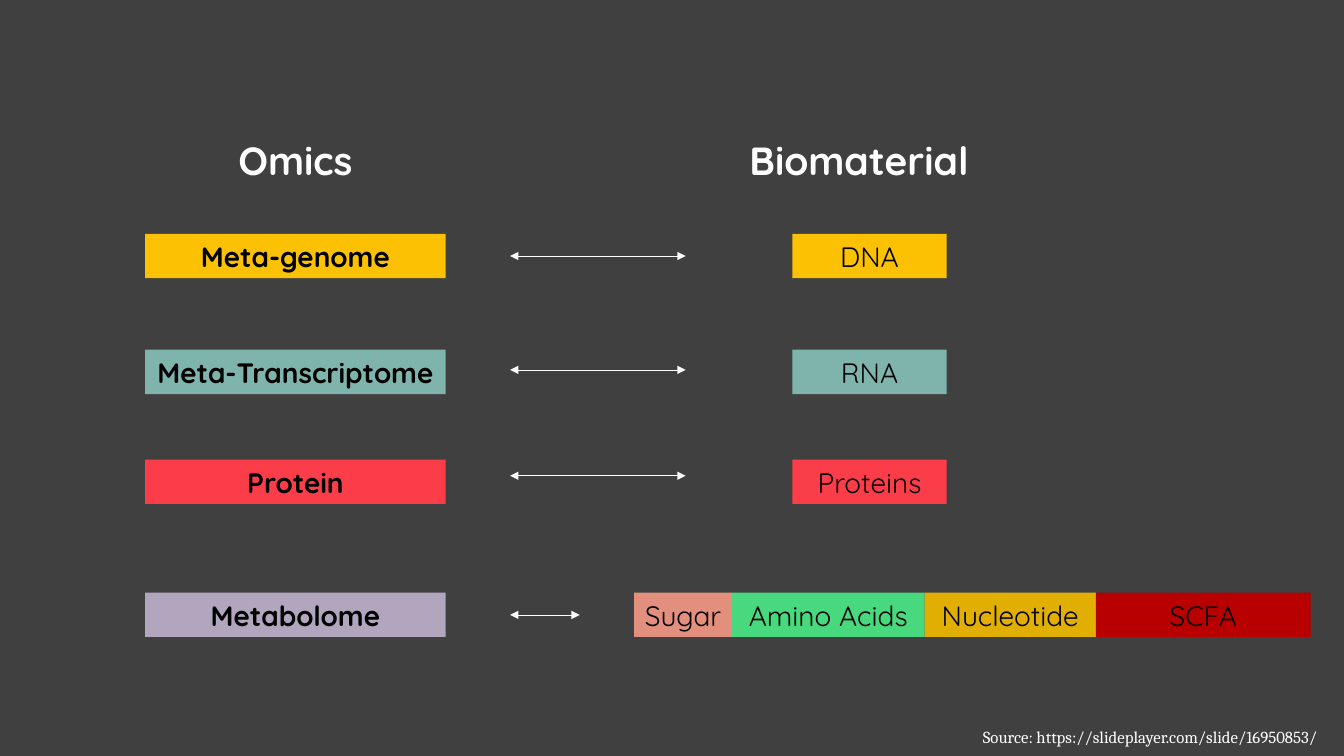
from lxml import etree
from pptx import Presentation
from pptx import util as u
from pptx.dml.color import RGBColor
from pptx.enum import shapes, text
from pptx.oxml.ns import qn

COLORS = {
    "background": "404040", "white": "FFFFFF", "black": "000000",
    "genome": "FBC102", "transcriptome": "7FB4AD", "protein": "FB3C49",
    "metabolome": "B1A6BD", "sugar": "E28F7D", "amino": "48D87D",
    "nucleotide": "E1AE02", "scfa": "B80001",
}
HEADING = {"name": "Quicksand", "size": u.Pt(28), "bold": True}
OMICS = {"name": "Quicksand", "size": u.Pt(20), "bold": True}
MATERIAL = {"name": "Quicksand", "size": u.Pt(20), "bold": False}
SOURCE = {"name": "Cambria", "size": u.Pt(12), "bold": False}

OMICS_LEFT, OMICS_WIDTH = 1.44, 2.98
MATERIAL_LEFT, MATERIAL_WIDTH = 7.86, 1.53
BAR_HEIGHT = 0.44
ARROW_START, ARROW_END, SHORT_ARROW_END = 5.06, 6.8, 5.75
METABOLOME_TOP, METABOLOME_ARROW = 5.88, 6.1

ROWS = [
    ("Meta-genome", "DNA", "genome", 2.32, 2.54),
    ("Meta-Transcriptome", "RNA", "transcriptome", 3.47, 3.67),
    ("Protein", "Proteins", "protein", 4.56, 4.72),
]
METABOLITES = [
    ("Sugar", "sugar", 0.97),
    ("Amino Acids", "amino", 1.91),
    ("Nucleotide", "nucleotide", 1.7),
    ("SCFA", "scfa", 2.13),
]


def color(name):
    return RGBColor.from_string(COLORS[name])


def write(box, words, style, ink, align=text.PP_ALIGN.CENTER, wrap=True):
    frame = box.text_frame
    frame.word_wrap = wrap
    para = frame.paragraphs[0]
    para.alignment = align
    span = para.add_run()
    span.text = words
    for key, value in style.items():
        setattr(span.font, key, value)
    span.font.color.rgb = color(ink)


def add_bar(page, words, fill, style, left, top, width):
    bar = page.shapes.add_shape(
        shapes.MSO_SHAPE.RECTANGLE,
        *map(u.Inches, (left, top, width, BAR_HEIGHT)))
    bar.shadow.inherit = False
    bar.fill.solid()
    bar.fill.fore_color.rgb = color(fill)
    bar.line.fill.background()
    write(bar, words, style, "black")


def add_label(page, words, style, area, **options):
    box = page.shapes.add_textbox(*map(u.Inches, area))
    write(box, words, style, "white", **options)


def add_arrow(page, end, y):
    arrow = page.shapes.add_connector(
        shapes.MSO_CONNECTOR.STRAIGHT,
        *map(u.Inches, (ARROW_START, y, end, y)))
    arrow.line.color.rgb = color("white")
    arrow.line.width = u.Pt(0.5)
    outline = arrow.line._get_or_add_ln()
    for tag in ("a:headEnd", "a:tailEnd"):
        etree.SubElement(outline, qn(tag), type="triangle")
    etree.SubElement(arrow._element.spPr, qn("a:effectLst"))


def main():
    deck = Presentation()
    deck.slide_width, deck.slide_height = u.Inches(13.33), u.Inches(7.5)
    page = deck.slides.add_slide(deck.slide_layouts[6])
    page.background.fill.solid()
    page.background.fill.fore_color.rgb = color("background")

    for heading, left in (("Omics", OMICS_LEFT), ("Biomaterial", 7.03)):
        add_label(page, heading, HEADING, (left, 1.3, OMICS_WIDTH, 0.57))

    for omics, material, fill, top, arrow_y in ROWS:
        add_bar(page, omics, fill, OMICS, OMICS_LEFT, top, OMICS_WIDTH)
        add_bar(page, material, fill, MATERIAL,
                MATERIAL_LEFT, top, MATERIAL_WIDTH)
        add_arrow(page, ARROW_END, arrow_y)

    add_bar(page, "Metabolome", "metabolome", OMICS,
            OMICS_LEFT, METABOLOME_TOP, OMICS_WIDTH)
    add_arrow(page, SHORT_ARROW_END, METABOLOME_ARROW)
    left = 6.29
    for name, fill, width in METABOLITES:
        add_bar(page, name, fill, MATERIAL, left, METABOLOME_TOP, width)
        left += width

    add_label(page, "Source: https://slideplayer.com/slide/16950853/", SOURCE,
              (9.65, 7.16, 3.68, 0.3), align=text.PP_ALIGN.LEFT, wrap=False)
    deck.save("out.pptx")


if __name__ == "__main__":
    main()
